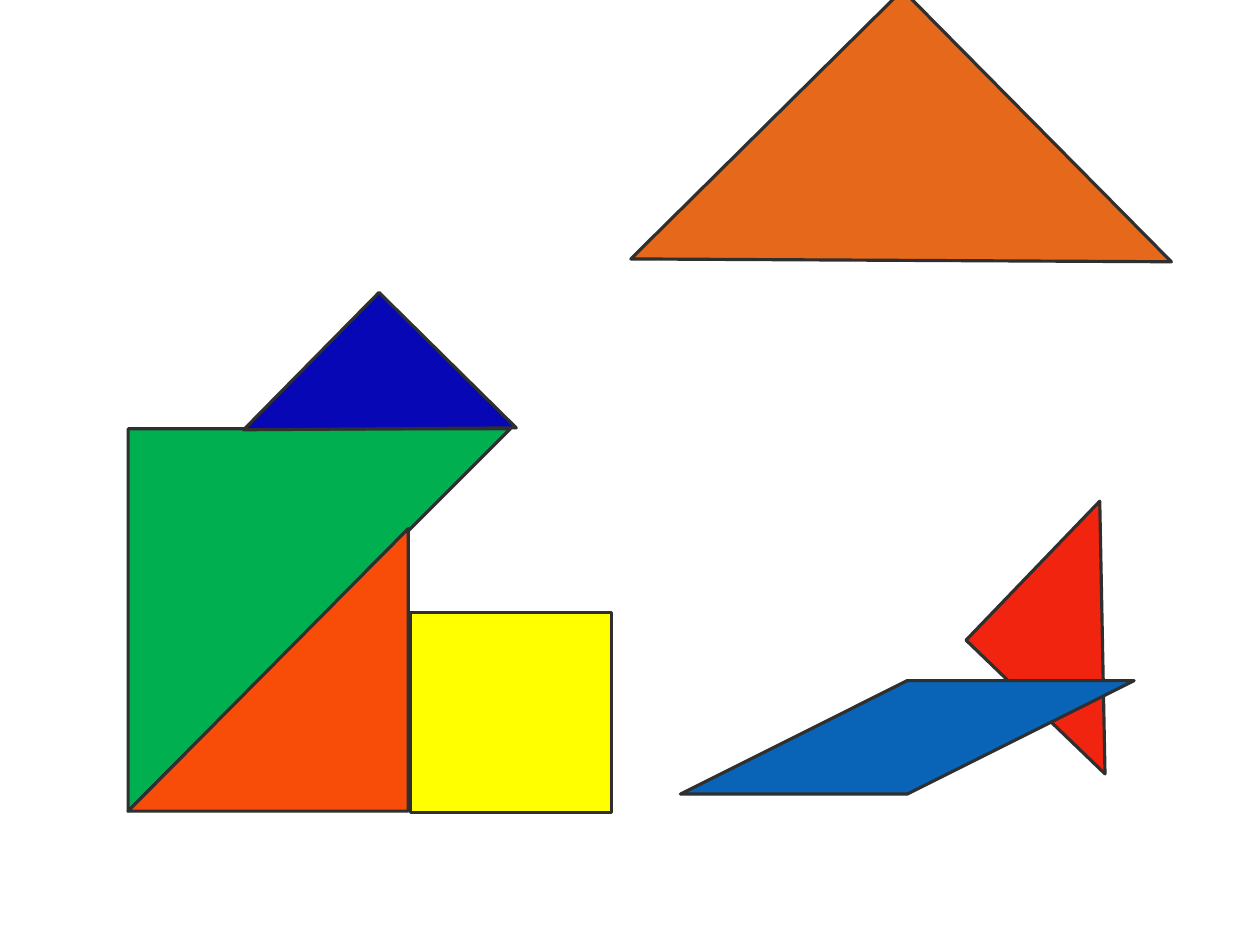
from pptx import Presentation
from pptx.dml.color import RGBColor
from pptx.enum.shapes import MSO_SHAPE as Preset
from pptx.util import Inches, Pt

AMBER = RGBColor(0xE6, 0x68, 0x1A)
GREEN = RGBColor(0x00, 0xB0, 0x50)
RED = RGBColor(0xF1, 0x25, 0x0F)
NAVY = RGBColor(0x07, 0x07, 0xB5)
ORANGE = RGBColor(0xF7, 0x4D, 0x09)
YELLOW = RGBColor(0xFF, 0xFF, 0x00)
BLUE = RGBColor(0x09, 0x64, 0xB7)
OUTLINE = RGBColor(0x2F, 0x2F, 0x2F)

CELL = Inches(1)
SMALL_LEG, LARGE_LEG = 1.7, 3.37


def paint(piece, color):
    """Give a tangram piece its fill and dark outline."""
    piece.shadow.inherit = False
    piece.fill.solid()
    piece.fill.fore_color.rgb = color
    piece.line.color.rgb = OUTLINE
    piece.line.width = Pt(2)


def add_piece(slide, preset, box, offset, size, color, turn=0):
    """Place a preset piece at an offset, in grid cells, from the box corner."""
    left, top = (round((start + shift) * CELL) for start, shift in zip(box, offset))
    width, height = (round(side * CELL) for side in size)
    piece = slide.shapes.add_shape(preset, left, top, width, height)
    piece.rotation = turn
    paint(piece, color)


def add_triangle(slide, box, offset, size, color, turn):
    """Place a turned right triangle."""
    add_piece(slide, Preset.RIGHT_TRIANGLE, box, offset, size, color, turn)


def add_parallelogram(slide, box, offset, size, base, color):
    """Place a parallelogram that leans right on a base of the given length."""
    left, top = (start + shift for start, shift in zip(box, offset))
    right, bottom = left + size[0], top + size[1]
    outline = slide.shapes.build_freeform(left, bottom, scale=CELL)
    outline.add_line_segments(
        [(right - base, top), (right, top), (left + base, bottom)], close=True)
    paint(outline.convert_to_shape(), color)


def add_loose_triangle(slide, box):
    """Draw the large triangle that stands alone."""
    add_triangle(slide, box, (0, 0), (LARGE_LEG, LARGE_LEG), AMBER, 135.3)


def add_left_figure(slide, box):
    """Draw the figure of three triangles and a square."""
    add_triangle(slide, box, (0.01, 0.85), (LARGE_LEG, LARGE_LEG), GREEN, 90)
    add_triangle(slide, box, (1.38, 0), (SMALL_LEG, SMALL_LEG), NAVY, 134.6)
    add_triangle(slide, box, (0, 1.74), (2.49, 2.47), ORANGE, 270)
    add_piece(slide, Preset.RECTANGLE, box, (2.5, 2.47), (1.77, 1.76), YELLOW)


def add_right_figure(slide, box):
    """Draw the parallelogram in front of the small red triangle."""
    add_triangle(slide, box, (2.71, 0), (SMALL_LEG, SMALL_LEG), RED, 43.9)
    add_parallelogram(slide, box, (0, 0.85), (3.56, 1.81), 1.73, BLUE)


def main():
    """Build the tangram slide."""
    deck = Presentation()
    deck.slide_width, deck.slide_height = Inches(11.11), Inches(8.33)
    slide = deck.slides.add_slide(deck.slide_layouts[6])
    add_loose_triangle(slide, (6.26, 0.61))
    add_left_figure(slide, (1.12, 2.93))
    add_right_figure(slide, (6.16, 4.77))
    deck.save("out.pptx")


if __name__ == "__main__":
    main()
